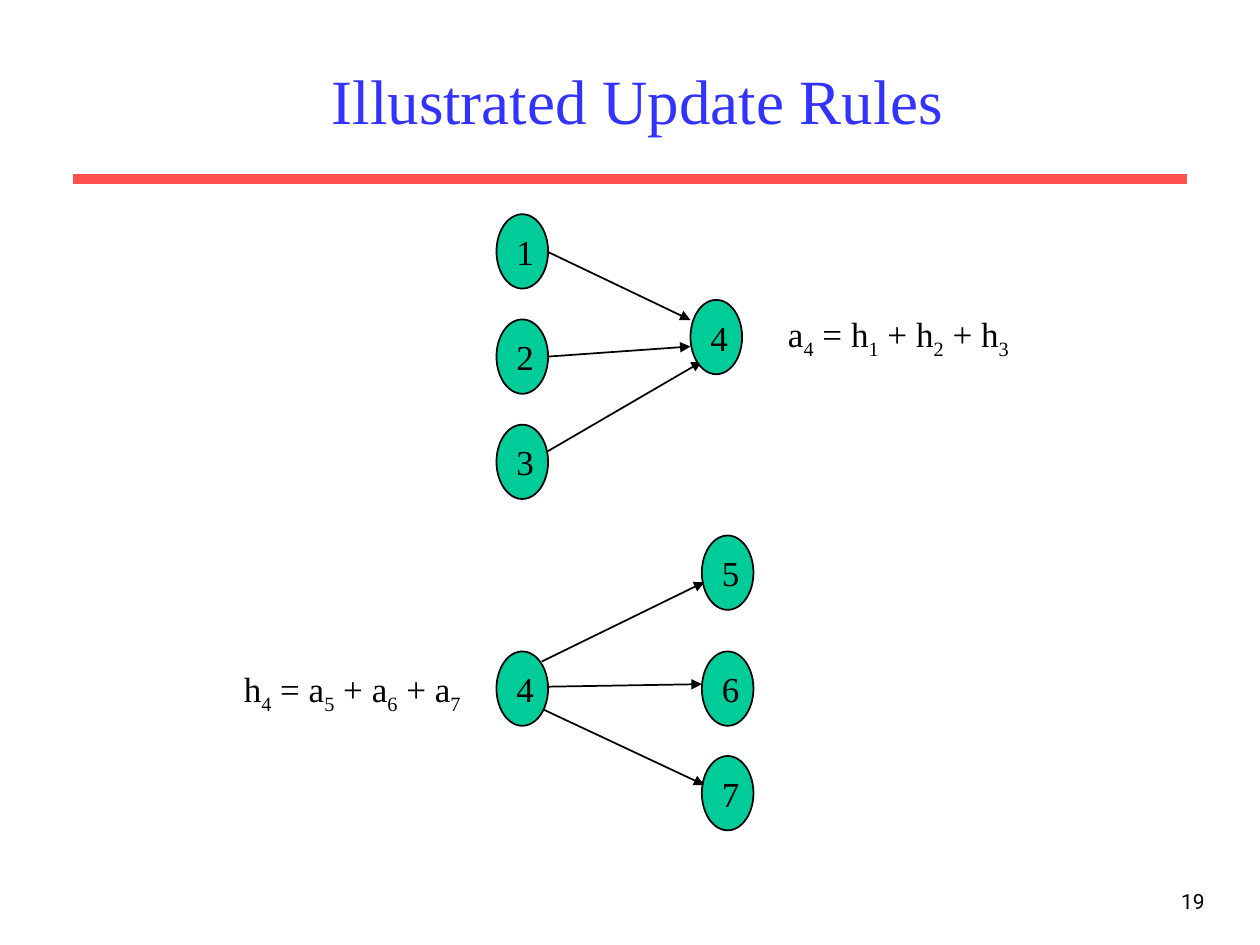
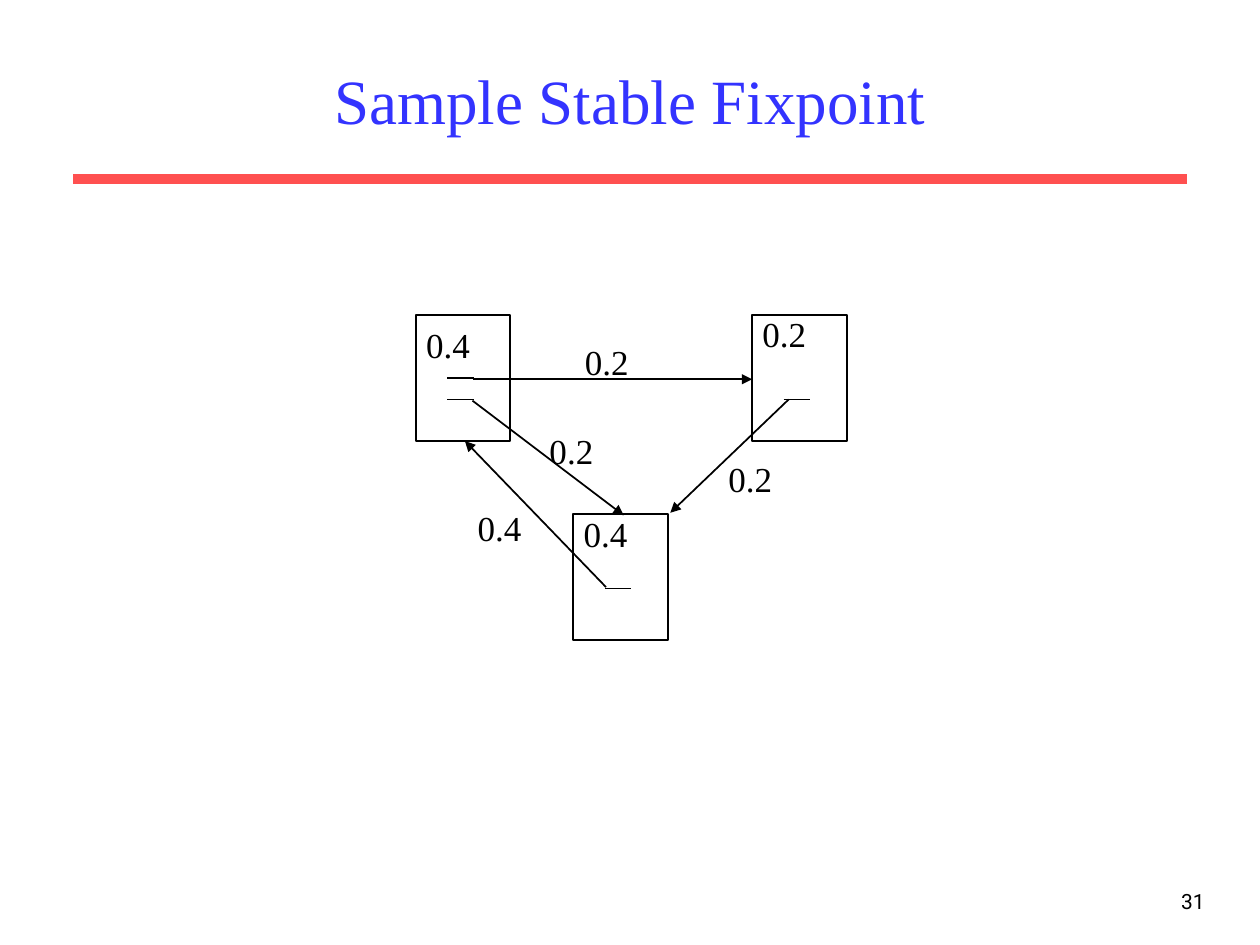
from lxml import etree
from pptx import Presentation
from pptx.dml.color import RGBColor
from pptx.enum.shapes import MSO_CONNECTOR, MSO_SHAPE
from pptx.enum.text import MSO_ANCHOR, MSO_AUTO_SIZE, PP_ALIGN
from pptx.oxml.ns import qn
from pptx.util import Inches, Pt

BLUE, RED, GREEN, BLACK = "3333FF", "FF5050", "00CC99", "000000"
SERIF, SANS = "Times New Roman", "Roboto"
hue = RGBColor.from_string

deck = Presentation()
deck.slide_width, deck.slide_height = Inches(10), Inches(7.5)
# The grid has 10 columns and 7.5 rows
COL, ROW = deck.slide_width / 10, deck.slide_height / 7.5


def write(slide, text, x, y, w, h, kind=None, fill=None, size=20, font=SERIF,
          color=BLACK, align=PP_ALIGN.CENTER, anchor=MSO_ANCHOR.TOP, wrap=False):
    """Put text in a box or a shape; the digit after each "_" is a subscript."""
    place = int(x * COL), int(y * ROW), int(w * COL), int(h * ROW)
    if kind is None:
        box = slide.shapes.add_textbox(*place)
    else:
        box = slide.shapes.add_shape(kind, *place)
        box.shadow.inherit = False
        box.line.color.rgb, box.line.width = hue(BLACK), Pt(1)
        if fill:
            box.fill.solid()
            box.fill.fore_color.rgb = hue(fill)
        else:
            box.fill.background()
    if not text:
        return
    frame = box.text_frame
    frame.word_wrap, frame.vertical_anchor = wrap, anchor
    frame.auto_size = MSO_AUTO_SIZE.NONE if wrap else MSO_AUTO_SIZE.SHAPE_TO_FIT_TEXT
    para = frame.paragraphs[0]
    para.alignment = align
    first, *rest = text.split("_")
    parts = [(first, False)]
    for part in rest:
        parts += [(part[0], True), (part[1:], False)]
    for words, low in parts:
        if words:
            run = para.add_run()
            run.text = words
            run.font.size, run.font.name = Pt(size), font
            run.font.color.rgb = hue(color)
            if low:
                run.font._element.set("baseline", "-25000")


def draw(slide, x1, y1, x2, y2, color=BLACK, width=1, head=True):
    """Draw a straight line, with an arrowhead at its end if wanted."""
    line = slide.shapes.add_connector(MSO_CONNECTOR.STRAIGHT, int(x1 * COL),
                                      int(y1 * ROW), int(x2 * COL), int(y2 * ROW))
    line.line.color.rgb, line.line.width = hue(color), Pt(width)
    if head:
        etree.SubElement(line.line._get_or_add_ln(), qn("a:tailEnd"), type="triangle")
    etree.SubElement(line._element.spPr, qn("a:effectLst"))


# Shared frame: rule, page number and title
slides = []
for title, page in ((" Illustrated Update Rules", "19"), ("Sample Stable Fixpoint", "31")):
    slide = deck.slides.add_slide(deck.slide_layouts[6])
    draw(slide, 0.58, 1.42, 9.42, 1.42, color=RED, width=6, head=False)
    write(slide, page, 7.58, 7, 2.08, 0.5, size=12, font=SANS,
          align=PP_ALIGN.RIGHT, wrap=True)
    write(slide, title, 0.75, 0.25, 8.5, 1.08, size=36, color=BLUE,
          anchor=MSO_ANCHOR.MIDDLE, wrap=True)
    slides.append(slide)
rules, fixed = slides

# Update rules: links into node 4
for link in ((4.35, 2, 5.48, 2.54), (4.35, 2.83, 5.48, 2.75), (4.35, 3.58, 5.57, 2.87)):
    draw(rules, *link)

# Update rules: nodes
LEFT, RIGHT = 3.94, 5.57
nodes = [(str(i + 1), LEFT, 1.7 + i * 0.835) for i in range(3)]
nodes += [("4", 5.48, 2.38), ("4", LEFT, 5.17),
          ("5", RIGHT, 4.25), ("6", RIGHT, 5.17), ("7", RIGHT, 6)]
for name, x, y in nodes:
    write(rules, name, x, y, 0.41, 0.59, kind=MSO_SHAPE.OVAL, fill=GREEN,
          anchor=MSO_ANCHOR.MIDDLE)

# Update rules: links out of node 4
for link in ((4.3, 5.25, 5.59, 4.62), (4.34, 5.45, 5.57, 5.43), (4.31, 5.63, 5.59, 6.23)):
    draw(rules, *link)

# Update rules: sums
write(rules, "a_4 = h_1 + h_2 + h_3", 6.14, 2.43, 1.98, 0.43)
write(rules, "h_4 = a_5 + a_6 + a_7", 1.82, 5.25, 1.95, 0.43)

# Fixpoint: pages, each with the rows of its link marks
for x, y, marks in ((3.3, 2.5, (0.5, 0.67)), (4.55, 4.08, (0.59,)), (5.97, 2.5, (0.67,))):
    write(fixed, "", x, y, 0.75, 1, kind=MSO_SHAPE.RECTANGLE)
    for mark in marks:
        draw(fixed, x + 0.25, y + mark, x + 0.46, y + mark, head=False)

# Fixpoint: links between pages
for link in ((3.75, 3.01, 5.97, 3.01), (3.75, 3.18, 4.95, 4.09),
             (4.81, 4.66, 3.69, 3.5), (6.26, 3.17, 5.32, 4.07)):
    draw(fixed, *link)

# Fixpoint: weights of pages, then of links
for rank, x, y in (("0.4", 3.28, 2.52), ("0.4", 4.53, 4.02), ("0.2", 5.95, 2.43),
                   ("0.2", 5.68, 3.58), ("0.2", 4.54, 2.65), ("0.2", 4.26, 3.36),
                   ("0.4", 3.69, 3.97)):
    write(fixed, rank, x, y, 0.55, 0.43)

deck.save("out.pptx")
